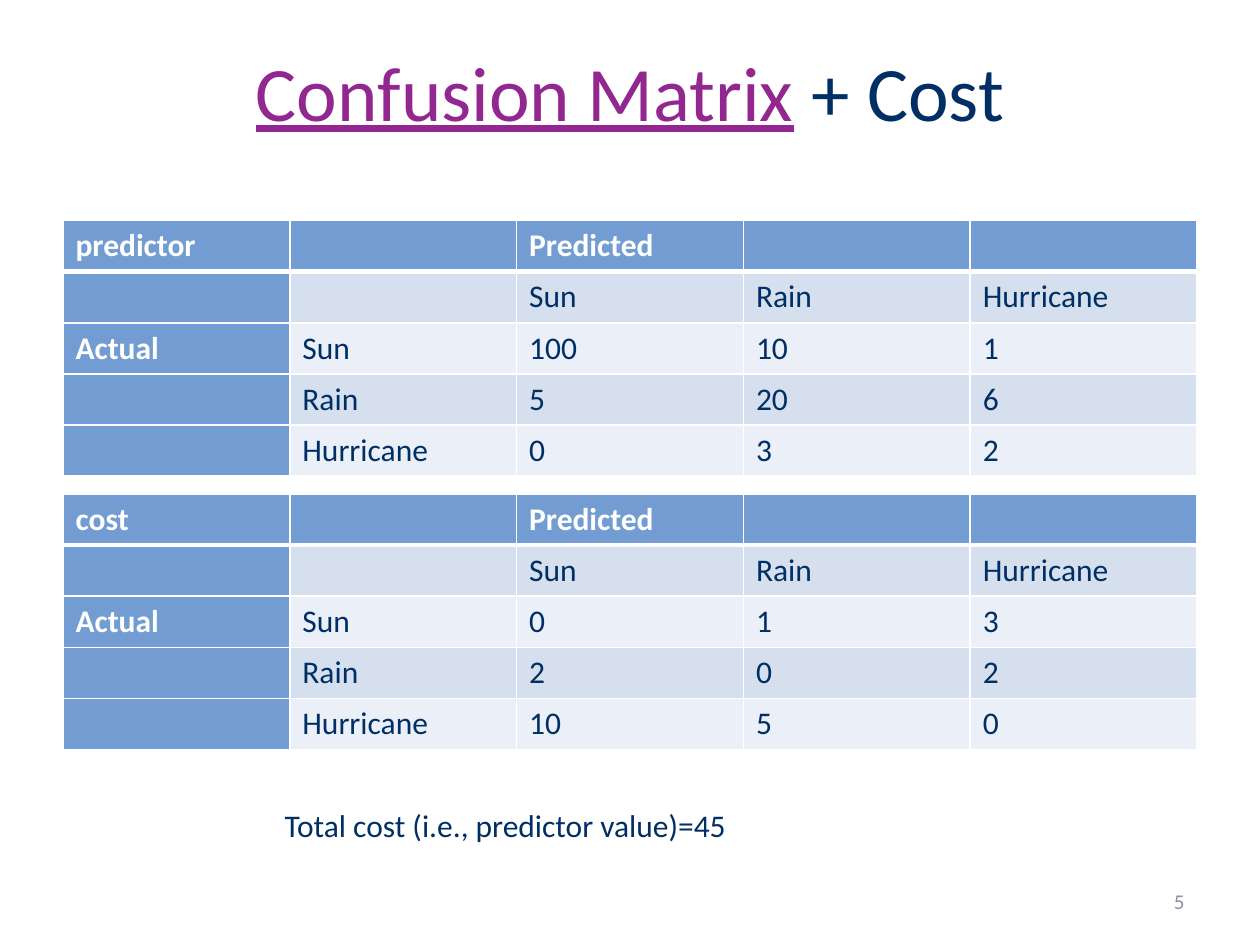
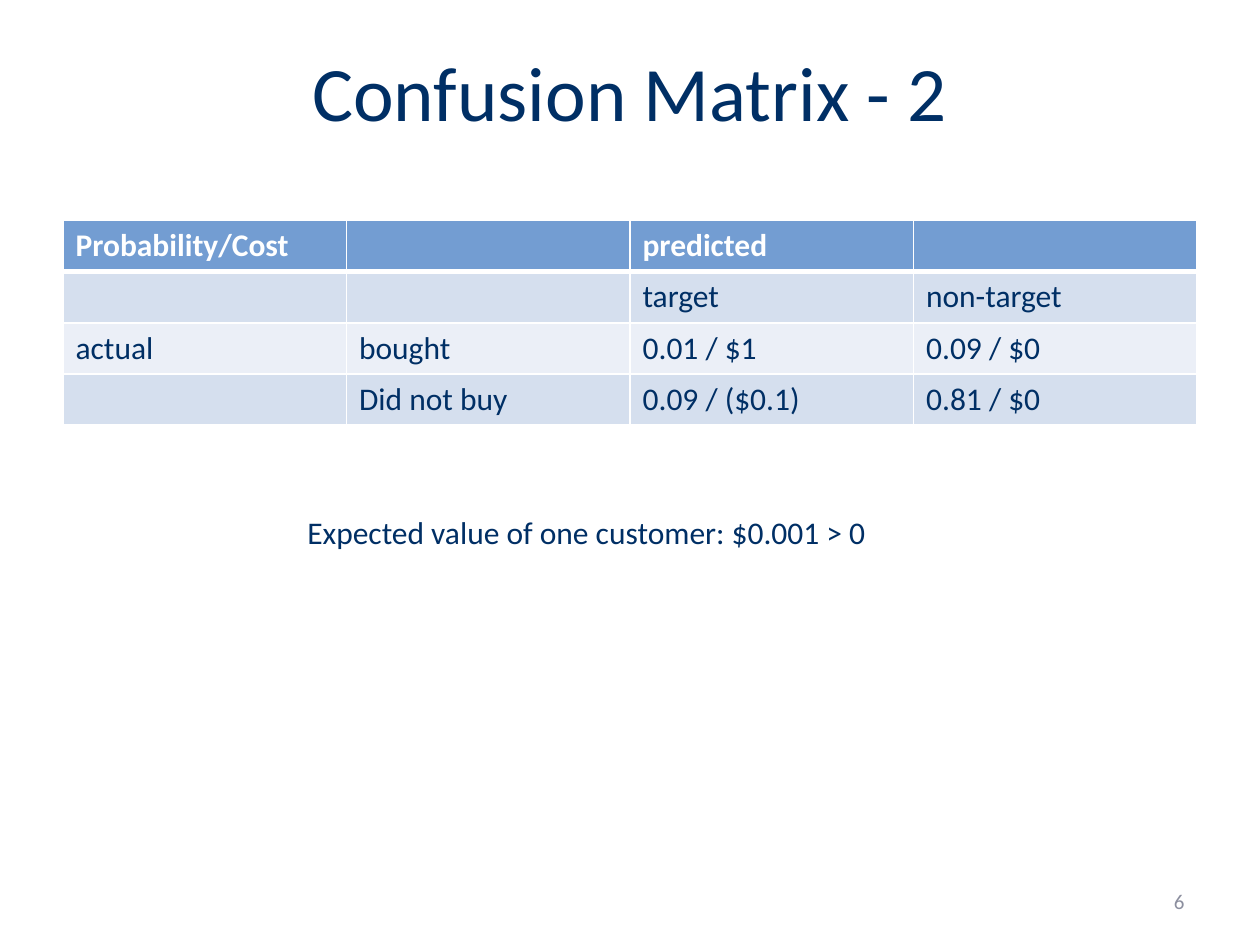
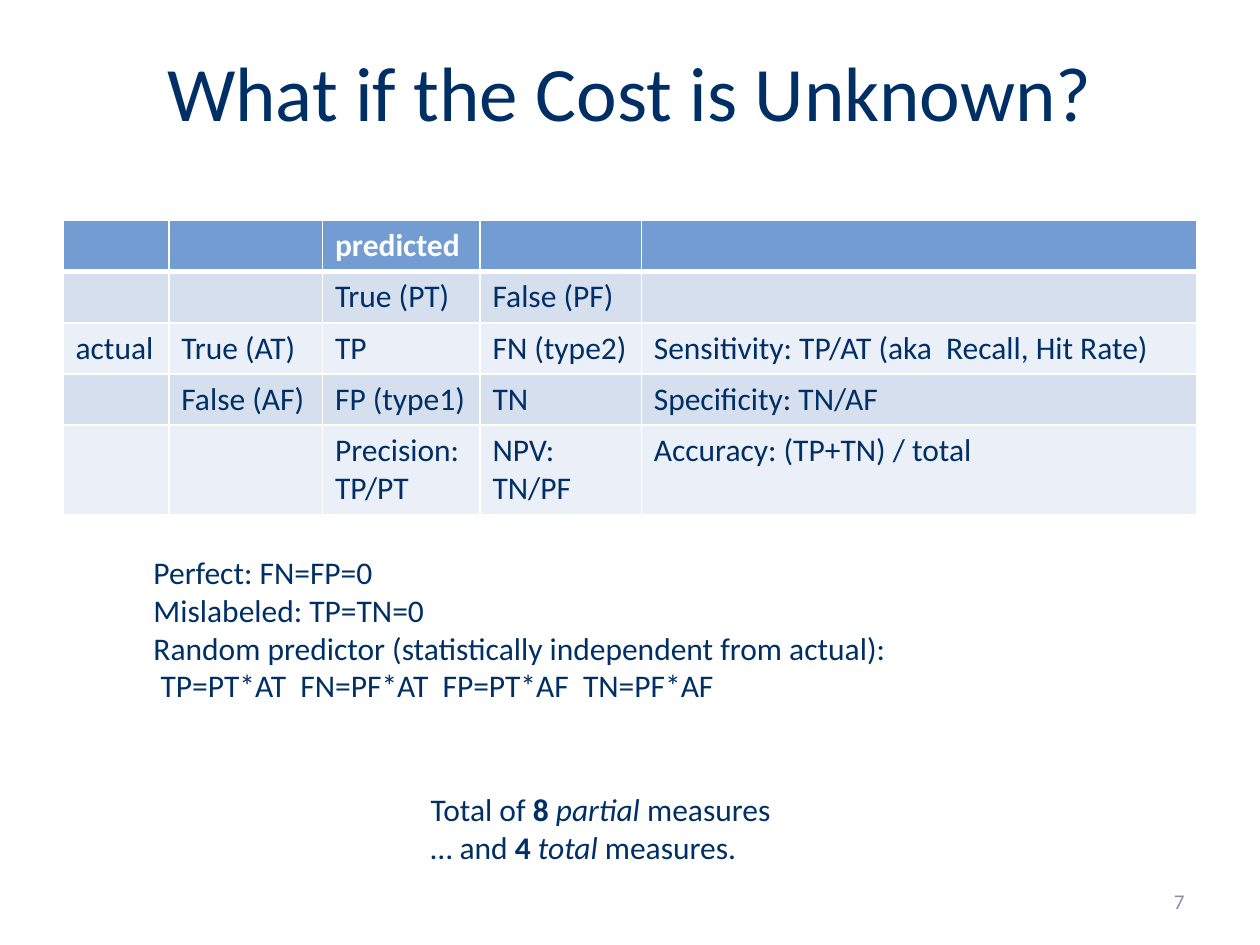
from dataclasses import dataclass

from lxml import etree
from pptx import Presentation
from pptx.dml.color import RGBColor
from pptx.enum.text import MSO_ANCHOR, PP_ALIGN
from pptx.oxml.ns import qn
from pptx.util import Inches, Pt


@dataclass(frozen=True)
class Theme:
    font: str = "Calibri"
    ink: str = "002F65"
    link: str = "92278F"
    muted: str = "8C8F9F"
    white: str = "FFFFFF"
    header: str = "739DD2"
    bands: tuple = ("D5DFEE", "EBEFF7")
    title_pt: int = 44
    body_pt: int = 18
    number_pt: int = 12
    rule_pt: int = 1
    header_rule_pt: int = 3


T = Theme()
FIRST_NUMBER = 5
TABLE_LEFT, TABLE_TOP, TABLE_W = 0.5, 1.75, 9
ROW_H = Inches(2.03) // 5
TWO_LINE_ROW_H = Inches(0.7)


def weather_table(name, top, counts):
    """Actual against predicted weather, with a coloured first column."""
    kinds = ["Sun", "Rain", "Hurricane"]
    rows = [[name, "", "Predicted", "", ""], ["", ""] + kinds]
    for i, (kind, values) in enumerate(zip(kinds, counts)):
        rows.append(["Actual" if i == 0 else "", kind] + [str(v) for v in values])
    return dict(top=top, rows=rows, cols=[TABLE_W / 5] * 5, first_col=True)


# A paragraph is a list of (text, style) runs; a style holds run overrides.
SLIDES = [
    dict(
        title=[("Confusion Matrix", dict(color=T.link, underline=True)), (" + Cost", {})],
        tables=[
            weather_table("predictor", TABLE_TOP, [(100, 10, 1), (5, 20, 6), (0, 3, 2)]),
            weather_table("cost", 3.92, [(0, 1, 3), (2, 0, 2), (10, 5, 0)]),
        ],
        notes=[((2.16, 6.35, 3.78, 0.4), [[("Total cost (i.e., predictor value)=45", {})]])],
    ),
    dict(
        title=[("Confusion Matrix - 2", {})],
        tables=[dict(
            top=TABLE_TOP,
            cols=[TABLE_W / 4] * 4,
            rows=[
                ["Probability/Cost", "", "predicted", ""],
                ["", "", "target", "non-target"],
                ["actual", "bought", "0.01 / $1", "0.09 / $0"],
                ["", "Did not buy", "0.09 / ($0.1)", "0.81 / $0"],
            ],
        )],
        notes=[((2.34, 4.02, 4.69, 0.4),
                [[("Expected value of one customer: $0.001 > 0", {})]])],
    ),
    dict(
        title=[("What if the Cost is Unknown?", {})],
        tables=[dict(
            top=TABLE_TOP,
            cols=[0.84, 1.22, 1.25, 1.28, 4.41],
            rows=[
                ["", "", "predicted", "", ""],
                ["", "", "True (PT)", "False (PF)", ""],
                ["actual", "True (AT)", "TP", "FN (type2)",
                 "Sensitivity: TP/AT (aka  Recall, Hit Rate)"],
                ["", "False (AF)", "FP (type1)", "TN", "Specificity: TN/AF"],
                ["", "", "Precision:\nTP/PT", "NPV:\nTN/PF", "Accuracy: (TP+TN) / total"],
            ],
        )],
        notes=[
            ((3.32, 6.22, 2.95, 0.71), [
                [("Total of ", {}), ("8 ", dict(bold=True)),
                 ("partial", dict(italic=True)), (" measures", {})],
                [("… and ", {}), ("4 ", dict(bold=True)),
                 ("total", dict(italic=True)), (" measures.", {})],
            ]),
            ((1.12, 4.34, 6.1, 1.31), [
                [("Perfect: FN=FP=0", {})],
                [("Mislabeled: TP=TN=0", {})],
                [("Random predictor (statistically independent from actual):", {})],
                [(" TP=PT*AT  FN=PF*AT  FP=PT*AF  TN=PF*AF", {})],
            ]),
        ],
    ),
]


def write(tf, paragraphs, size=T.body_pt, color=T.ink, align=PP_ALIGN.LEFT):
    for i, runs in enumerate(paragraphs):
        p = tf.paragraphs[0] if i == 0 else tf.add_paragraph()
        p.alignment = align
        for text, style in runs:
            r = p.add_run()
            r.text = text
            f = r.font
            f.name, f.size = T.font, Pt(size)
            f.color.rgb = RGBColor.from_string(style.get("color", color))
            f.bold = style.get("bold", False)
            f.italic = style.get("italic", False)
            f.underline = style.get("underline", False)


def add_title(s, runs):
    title = s.shapes.title
    title.left, title.top = Inches(0.5), Inches(0.3)
    title.width, title.height = Inches(9), Inches(1.25)
    tf = title.text_frame
    tf.vertical_anchor = MSO_ANCHOR.TOP
    write(tf, [runs], T.title_pt, align=PP_ALIGN.CENTER)


def add_text(s, box, paragraphs, wrap=False, anchor=MSO_ANCHOR.TOP, **style):
    tf = s.shapes.add_textbox(*map(Inches, box)).text_frame
    tf.word_wrap = wrap
    tf.vertical_anchor = anchor
    write(tf, paragraphs, **style)


def set_borders(cell, top_pt, bottom_pt):
    """Put white rules on all four sides, ahead of the cell's fill."""
    tc_pr = cell._tc.get_or_add_tcPr()
    widths = [("lnL", T.rule_pt), ("lnR", T.rule_pt), ("lnT", top_pt), ("lnB", bottom_pt)]
    for i, (tag, width) in enumerate(widths):
        ln = etree.Element(qn(f"a:{tag}"), w=str(Pt(width)))
        fill = etree.SubElement(ln, qn("a:solidFill"))
        etree.SubElement(fill, qn("a:srgbClr"), val=T.white)
        tc_pr.insert(i, ln)


def add_matrix(s, top, rows, cols, first_col=False):
    heights = [TWO_LINE_ROW_H if any("\n" in text for text in row) else ROW_H
               for row in rows]
    table = s.shapes.add_table(len(rows), len(cols), Inches(TABLE_LEFT), Inches(top),
                               Inches(TABLE_W), sum(heights)).table
    table.first_col = first_col
    for column, width in zip(table.columns, cols):
        column.width = Inches(width)
    for i, row in enumerate(rows):
        table.rows[i].height = heights[i]
        for j, text in enumerate(row):
            cell = table.cell(i, j)
            heading = i == 0 or (first_col and j == 0)
            cell.fill.solid()
            cell.fill.fore_color.rgb = RGBColor.from_string(
                T.header if heading else T.bands[(i - 1) % 2])
            set_borders(cell,
                        T.header_rule_pt if i == 1 else T.rule_pt,
                        T.header_rule_pt if i == 0 else T.rule_pt)
            if text:
                style = dict(bold=heading)
                write(cell.text_frame, [[(line, style)] for line in text.split("\n")],
                      color=T.white if heading else T.ink)


def main():
    prs = Presentation()
    prs.slide_width, prs.slide_height = Inches(10), Inches(7.5)
    title_only = prs.slide_layouts[5]
    for number, content in enumerate(SLIDES, FIRST_NUMBER):
        s = prs.slides.add_slide(title_only)
        add_title(s, content["title"])
        for matrix in content["tables"]:
            add_matrix(s, **matrix)
        add_text(s, (7.17, 6.95, 2.33, 0.4), [[(str(number), {})]], wrap=True,
                 anchor=MSO_ANCHOR.MIDDLE, size=T.number_pt, color=T.muted,
                 align=PP_ALIGN.RIGHT)
        for box, paragraphs in content["notes"]:
            add_text(s, box, paragraphs)
    prs.save("out.pptx")


if __name__ == "__main__":
    main()
